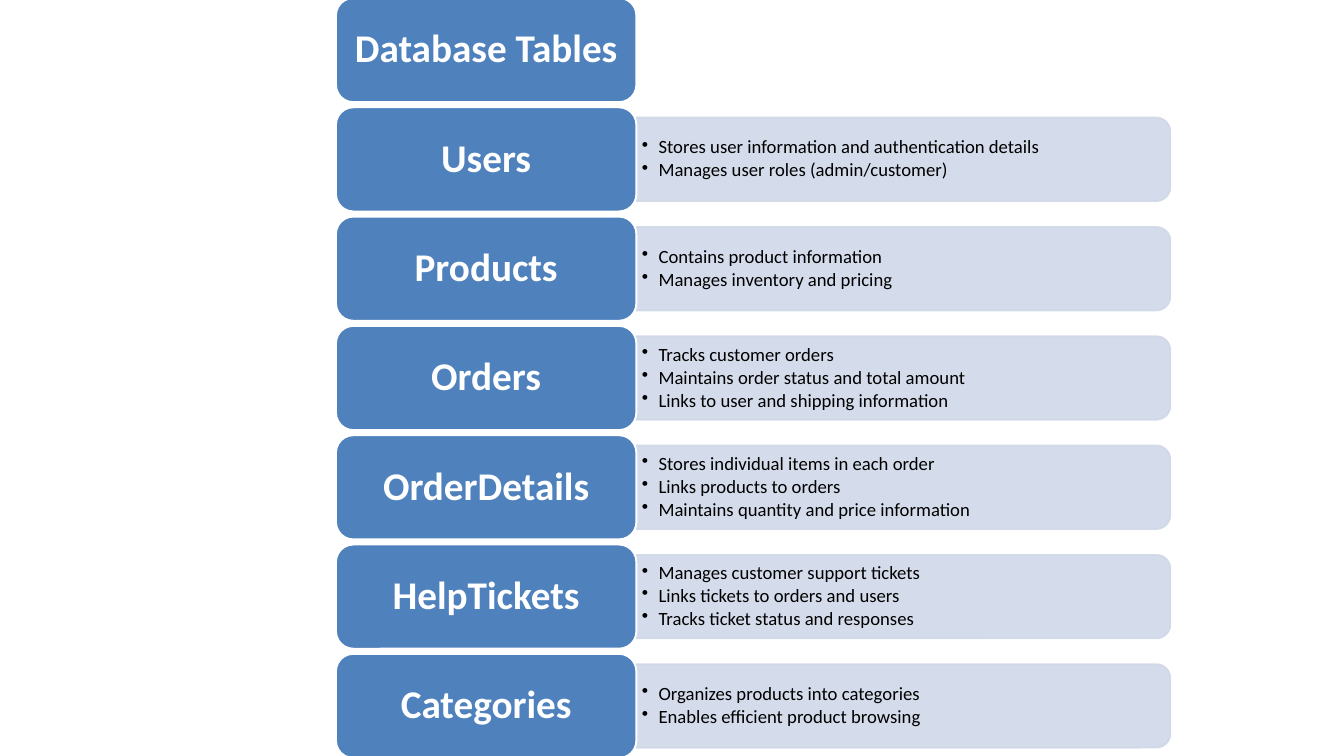
import pptx
import pptx.util
import pptx.dml.color
import pptx.enum.shapes
import pptx.enum.text
import pptx.oxml.ns
import lxml.etree

PX = 9144  # EMU per px, 100 px to the inch
BLUE = pptx.dml.color.RGBColor(0x4F, 0x81, 0xBD)
PALE = pptx.dml.color.RGBColor(0xD0, 0xD8, 0xE8)
WHITE = pptx.dml.color.RGBColor(0xFF, 0xFF, 0xFF)
BLACK = pptx.dml.color.RGBColor(0x00, 0x00, 0x00)

TILE_LEFT, TILE_WIDTH, TILE_HEIGHT = 500, 447, 155
PANEL_LEFT, PANEL_WIDTH, PANEL_HEIGHT = 947, 795, 124
TEXT_WIDTH, TEXT_HEIGHT = 789, 112
FIRST_TOP, LAST_TOP = -3, 973

TABLES = [
    ("Database Tables", []),
    ("Users", ["Stores user information and authentication details",
               "Manages user roles (admin/customer)"]),
    ("Products", ["Contains product information",
                  "Manages inventory and pricing"]),
    ("Orders", ["Tracks customer orders",
                "Maintains order status and total amount",
                "Links to user and shipping information"]),
    ("OrderDetails", ["Stores individual items in each order",
                      "Links products to orders",
                      "Maintains quantity and price information"]),
    ("HelpTickets", ["Manages customer support tickets",
                     "Links tickets to orders and users",
                     "Tracks ticket status and responses"]),
    ("Categories", ["Organizes products into categories",
                    "Enables efficient product browsing"]),
]


def add_block(kind, left, top, width, height, fill, line):
    """Add a preset shape, filled and outlined, without shadow."""
    block = page.shapes.add_shape(kind, left * PX, round(top * PX), width * PX, height * PX)
    block.shadow.inherit = False
    block.fill.solid()
    block.fill.fore_color.rgb = fill
    block.line.color.rgb = line
    block.line.width = pptx.util.Pt(2)
    return block


def write(frame, lines, size, color, margin_x, margin_y):
    """Fill a middle-anchored text frame, one paragraph to a line."""
    frame.word_wrap = True
    frame.vertical_anchor = pptx.enum.text.MSO_ANCHOR.MIDDLE
    frame.margin_left = frame.margin_right = margin_x * PX
    frame.margin_top = frame.margin_bottom = margin_y * PX
    for number, line in enumerate(lines):
        para = frame.add_paragraph() if number else frame.paragraphs[0]
        para.line_spacing = 0.9
        span = para.add_run()
        span.text = line
        span.font.name = "Calibri"
        span.font.size = pptx.util.Pt(size)
        span.font.color.rgb = color


deck = pptx.Presentation()
deck.slide_width = 2000 * PX
deck.slide_height = 1125 * PX
page = deck.slides.add_slide(deck.slide_layouts[6])
pitch = (LAST_TOP - FIRST_TOP) / (len(TABLES) - 1)

for row, (name, notes) in enumerate(TABLES):
    top = FIRST_TOP + row * pitch
    middle = top + TILE_HEIGHT / 2

    if notes:
        # The panel stands upright and is turned a quarter, so its round corners face right.
        panel = add_block(pptx.enum.shapes.MSO_SHAPE.ROUND_2_SAME_RECTANGLE,
                          PANEL_LEFT + (PANEL_WIDTH - PANEL_HEIGHT) // 2,
                          middle - PANEL_WIDTH / 2,
                          PANEL_HEIGHT, PANEL_WIDTH, PALE, PALE)
        panel.rotation = 90
        for color in panel._element.spPr.iter(pptx.oxml.ns.qn("a:srgbClr")):
            lxml.etree.SubElement(color, pptx.oxml.ns.qn("a:alpha"), val="90000")

        box = page.shapes.add_textbox(PANEL_LEFT * PX, round((middle - TEXT_HEIGHT / 2) * PX),
                                      TEXT_WIDTH * PX, TEXT_HEIGHT * PX)
        write(box.text_frame, notes, 20, BLACK, 8, 4)
        for para in box.text_frame.paragraphs:
            para.space_after = pptx.util.Pt(3)
            properties = para._p.get_or_add_pPr()
            properties.set("marL", str(25 * PX))
            properties.set("indent", str(-25 * PX))
            lxml.etree.SubElement(properties, pptx.oxml.ns.qn("a:buChar"), char="•")

    tile = add_block(pptx.enum.shapes.MSO_SHAPE.ROUNDED_RECTANGLE, TILE_LEFT, top,
                     TILE_WIDTH, TILE_HEIGHT, BLUE, WHITE)
    write(tile.text_frame, [name], 42, WHITE, 17, 9)
    heading = tile.text_frame.paragraphs[0]
    heading.alignment = pptx.enum.text.PP_ALIGN.CENTER
    heading.runs[0].font.bold = True

deck.save("out.pptx")
